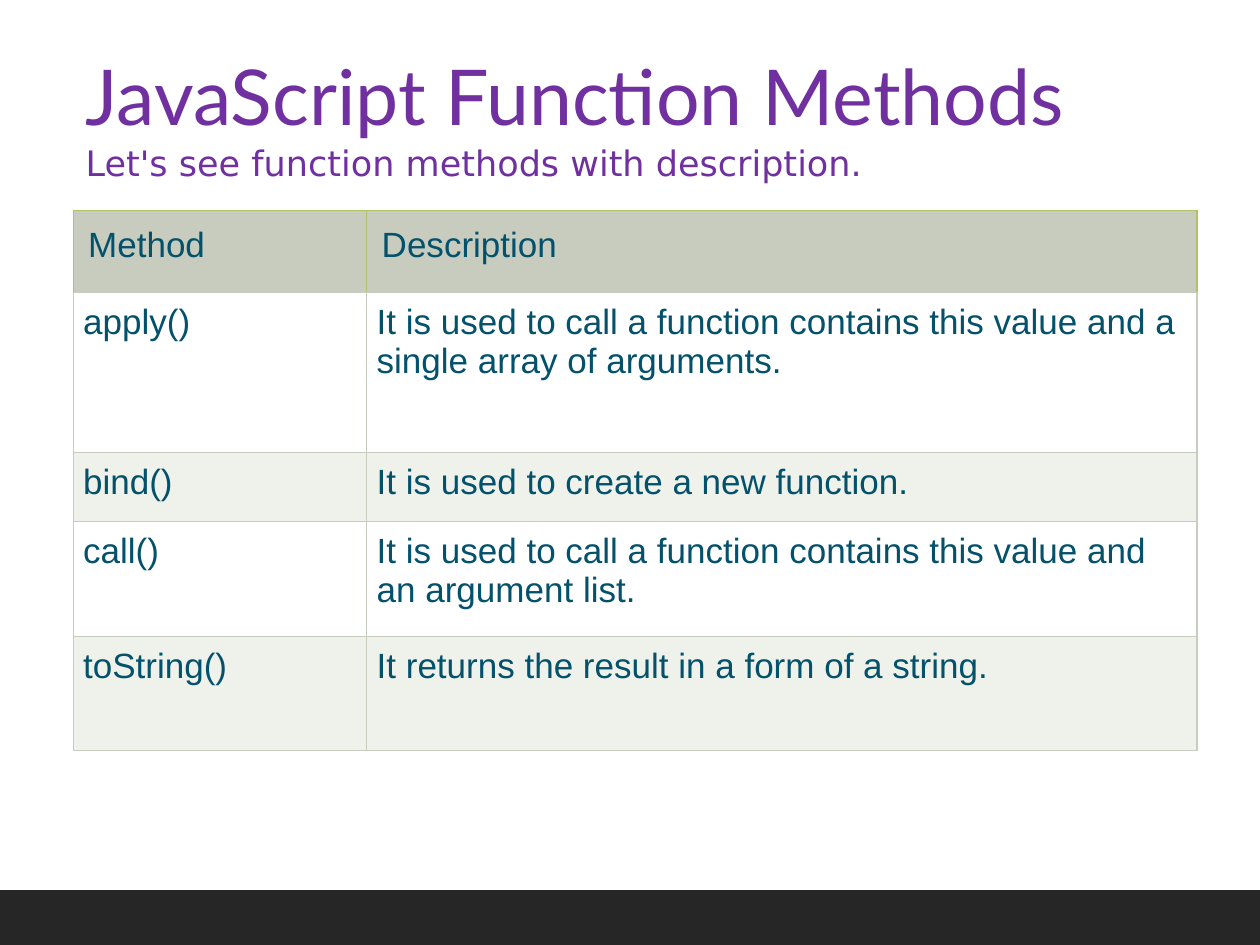
from lxml import etree
from pptx import Presentation
from pptx.dml.color import RGBColor
from pptx.enum.shapes import MSO_SHAPE
from pptx.enum.text import MSO_ANCHOR, MSO_AUTO_SIZE, PP_ALIGN
from pptx.oxml.ns import qn
from pptx.util import Inches, Pt

RECTANGLE = MSO_SHAPE.RECTANGLE
MIDDLE = MSO_ANCHOR.MIDDLE
NO_AUTO_SIZE = MSO_AUTO_SIZE.NONE
LEFT = PP_ALIGN.LEFT

HEADING = [
    ("JavaScript Function Methods", 44, "Lato"),
    ("Let's see function methods with description.", 20, "DejaVu Sans"),
]
METHODS = [
    ("Method", "Description"),
    ("apply()", "It is used to call a function contains this value and a single array of arguments."),
    ("bind()", "It is used to create a new function."),
    ("call()", "It is used to call a function contains this value and an argument list."),
    ("toString()", "It returns the result in a form of a string."),
]
COLUMN_WIDTHS = [2.33, 6.59]
ROW_HEIGHTS = [0.65, 1.27, 0.55, 0.91, 0.91]
SLIDE_WIDTH, SLIDE_HEIGHT = 10, 7.5
MARGIN = 0.58
FOOTER_HEIGHT = 0.42

PURPLE, TEAL, WHITE, CHARCOAL = "7030A0", "04516C", "FFFFFF", "262626"
SAGE, PALE_SAGE, LIME = "C7CCBE", "EFF1EB", "B0C264"


def paint(target, color):
    target.solid()
    target.fore_color.rgb = RGBColor.from_string(color)


def add_span(para, text, size, font, color):
    span = para.add_run()
    span.text = text
    span.font.size = Pt(size)
    span.font.name = font
    span.font.bold = False
    span.font.color.rgb = RGBColor.from_string(color)


def set_borders(cell, colors):
    properties = cell._tc.get_or_add_tcPr()
    for index, (side, color) in enumerate(zip(("lnL", "lnR", "lnT", "lnB"), colors)):
        line = etree.Element(qn(f"a:{side}"), w=str(Pt(0.75)))
        fill = etree.SubElement(line, qn("a:solidFill"))
        etree.SubElement(fill, qn("a:srgbClr"), val=color)
        properties.insert(index, line)


def add_heading(page):
    box = page.shapes.title
    box.left, box.top = Inches(MARGIN), Inches(0.33)
    box.width, box.height = Inches(8.5), Inches(1.18)
    paint(box.fill, WHITE)
    frame = box.text_frame
    frame.word_wrap = True
    frame.auto_size = NO_AUTO_SIZE
    frame.vertical_anchor = MIDDLE
    for index, (text, size, font) in enumerate(HEADING):
        para = frame.add_paragraph() if index else frame.paragraphs[0]
        para.alignment = LEFT
        add_span(para, text, size, font, PURPLE)


def add_methods(page):
    table = page.shapes.add_table(
        len(METHODS), len(COLUMN_WIDTHS), Inches(MARGIN), Inches(1.67),
        Inches(sum(COLUMN_WIDTHS)), Inches(sum(ROW_HEIGHTS))).table
    for column, width in zip(table.columns, COLUMN_WIDTHS):
        column.width = Inches(width)
    for row_index, (row, height, texts) in enumerate(zip(table.rows, ROW_HEIGHTS, METHODS)):
        row.height = Inches(height)
        header = row_index == 0
        band = SAGE if header else (PALE_SAGE, WHITE)[row_index % 2]
        edges = (LIME, LIME, LIME, SAGE) if header else (SAGE,) * 4
        inset = Inches(0.12 if header else 0.08)
        for cell, text in zip(row.cells, texts):
            cell.margin_left = cell.margin_right = inset
            cell.margin_top = cell.margin_bottom = inset
            paint(cell.fill, band)
            set_borders(cell, edges)
            add_span(cell.text_frame.paragraphs[0], text, 20, "Arial", TEAL)


def add_footer(page):
    bar = page.shapes.add_shape(
        RECTANGLE, 0, Inches(SLIDE_HEIGHT - FOOTER_HEIGHT),
        Inches(SLIDE_WIDTH), Inches(FOOTER_HEIGHT))
    bar.shadow.inherit = False
    paint(bar.fill, CHARCOAL)
    paint(bar.line.fill, CHARCOAL)
    bar.line.width = Pt(2)


def main():
    deck = Presentation()
    deck.slide_width, deck.slide_height = Inches(SLIDE_WIDTH), Inches(SLIDE_HEIGHT)
    page = deck.slides.add_slide(deck.slide_layouts.get_by_name("Title Only"))
    add_heading(page)
    add_methods(page)
    add_footer(page)
    deck.save("out.pptx")


if __name__ == "__main__":
    main()
